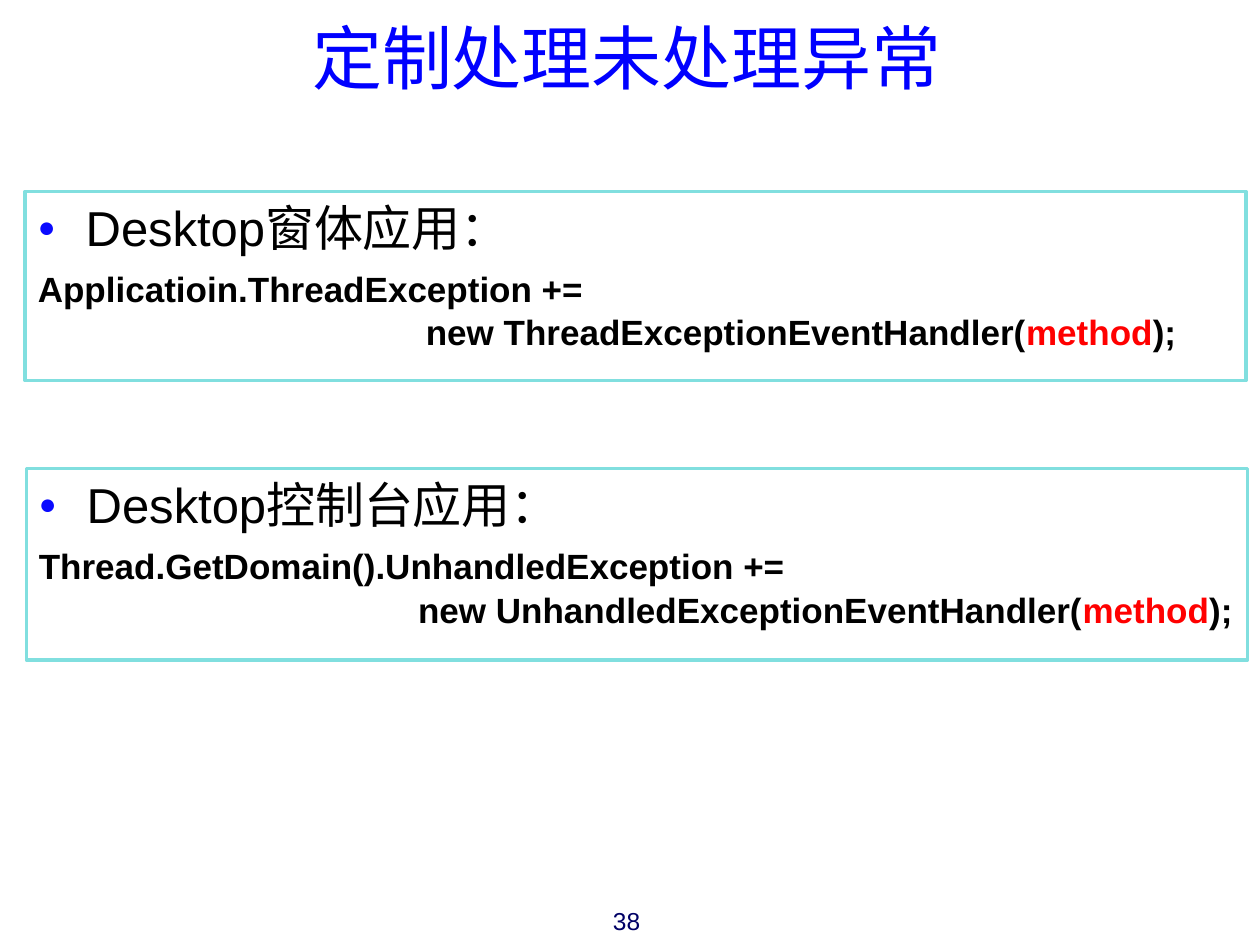
from lxml import etree
from pptx import Presentation
from pptx.dml.color import RGBColor
from pptx.enum.shapes import MSO_SHAPE
from pptx.enum.text import MSO_ANCHOR, MSO_AUTO_SIZE, PP_ALIGN
from pptx.oxml.ns import qn
from pptx.util import Inches, Pt

BLUE = RGBColor(0x00, 0x00, 0xFF)
NAVY = RGBColor(0x00, 0x00, 0x66)
BLACK = RGBColor(0x00, 0x00, 0x00)
RED = RGBColor(0xFF, 0x00, 0x00)
TURQUOISE = RGBColor(0x81, 0xDF, 0xDF)
BULLET_COLOR = "0A0AFF"

FONT = "Arial"
RECTANGLE = MSO_SHAPE.RECTANGLE
TOP, MIDDLE = MSO_ANCHOR.TOP, MSO_ANCHOR.MIDDLE
LEFT, CENTER, RIGHT = PP_ALIGN.LEFT, PP_ALIGN.CENTER, PP_ALIGN.RIGHT
NO_AUTOFIT = MSO_AUTO_SIZE.NONE

SLIDE_WIDTH, SLIDE_HEIGHT = 10, 7.5
BOX_WIDTH = 9.69
HEADING_INDENT = 0.38


def place(shape, left, top, width, height):
    """Set the position and size of a shape in inches."""
    shape.left, shape.top = Inches(left), Inches(top)
    shape.width, shape.height = Inches(width), Inches(height)


def prepare_frame(shape, anchor=TOP):
    """Return the text frame of a shape with wrapping and no autofit."""
    frame = shape.text_frame
    frame.word_wrap = True
    frame.auto_size = NO_AUTOFIT
    frame.vertical_anchor = anchor
    return frame


def add_run(paragraph, text, size, color, bold=False):
    """Append one formatted run to a paragraph."""
    run = paragraph.add_run()
    run.text = text
    run.font.name = FONT
    run.font.size = Pt(size)
    run.font.bold = bold
    run.font.color.rgb = color


def format_paragraph(paragraph, margin=0, hanging=0, before=0, after=0):
    """Set left alignment, indents in inches and spacing in points."""
    paragraph.alignment = LEFT
    paragraph.space_before, paragraph.space_after = Pt(before), Pt(after)
    properties = paragraph._p.get_or_add_pPr()
    properties.set("marL", str(Inches(margin)))
    properties.set("indent", str(-Inches(hanging)))
    return properties


def add_bullet(properties):
    """Give paragraph properties a small round bullet."""
    color = etree.SubElement(properties, qn("a:buClr"))
    etree.SubElement(color, qn("a:srgbClr"), val=BULLET_COLOR)
    etree.SubElement(properties, qn("a:buSzPct"), val="60000")
    etree.SubElement(properties, qn("a:buFont"), typeface=FONT)
    etree.SubElement(properties, qn("a:buChar"), char="●")


def fill_code_box(shape, heading, event, handler, handler_indent):
    """Outline a box and write its heading and the two lines of code."""
    shape.fill.background()
    shape.line.color.rgb = TURQUOISE
    shape.line.width = Pt(2)
    frame = prepare_frame(shape)
    frame.margin_right = 0

    paragraph = frame.paragraphs[0]
    add_bullet(format_paragraph(paragraph, HEADING_INDENT, HEADING_INDENT, after=6))
    add_run(paragraph, heading, 28, BLACK)

    code_lines = [
        (0, 0, [(event + " +=", BLACK)]),
        (handler_indent, 1,
         [(f"new {handler}(", BLACK), ("method", RED), (");", BLACK)]),
    ]
    for margin, before, pieces in code_lines:
        paragraph = frame.add_paragraph()
        properties = format_paragraph(paragraph, margin, before=before)
        etree.SubElement(properties, qn("a:buNone"))
        for text, color in pieces:
            add_run(paragraph, text, 20, color, bold=True)


def add_title(slide, text):
    """Write the slide title in the title placeholder."""
    title = slide.shapes.title
    place(title, 1.06, 0.12, 7.83, 0.65)
    paragraph = prepare_frame(title, MIDDLE).paragraphs[0]
    paragraph.alignment = CENTER
    add_run(paragraph, text, 40, BLUE)


def add_page_number(slide, number):
    """Write the page number at the bottom of the slide."""
    box = slide.shapes.add_textbox(
        Inches(4.45), Inches(7.14), Inches(0.73), Inches(0.21))
    paragraph = prepare_frame(box).paragraphs[0]
    paragraph.alignment = RIGHT
    add_run(paragraph, number, 14, NAVY)


def main():
    """Build and save the slide."""
    presentation = Presentation()
    presentation.slide_width = Inches(SLIDE_WIDTH)
    presentation.slide_height = Inches(SLIDE_HEIGHT)
    slide = presentation.slides.add_slide(presentation.slide_layouts[1])

    add_page_number(slide, "38")
    add_title(slide, "定制处理未处理异常")

    forms_box = slide.placeholders[1]
    place(forms_box, 0.2, 1.52, BOX_WIDTH, 1.5)
    fill_code_box(forms_box, "Desktop窗体应用：", "Applicatioin.ThreadException",
                  "ThreadExceptionEventHandler", 3.08)

    console_box = slide.shapes.add_shape(
        RECTANGLE, Inches(0.21), Inches(3.72), Inches(BOX_WIDTH), Inches(1.52))
    console_box.shadow.inherit = False
    fill_code_box(console_box, "Desktop控制台应用：",
                  "Thread.GetDomain().UnhandledException",
                  "UnhandledExceptionEventHandler", 3.01)

    presentation.save("out.pptx")


main()
